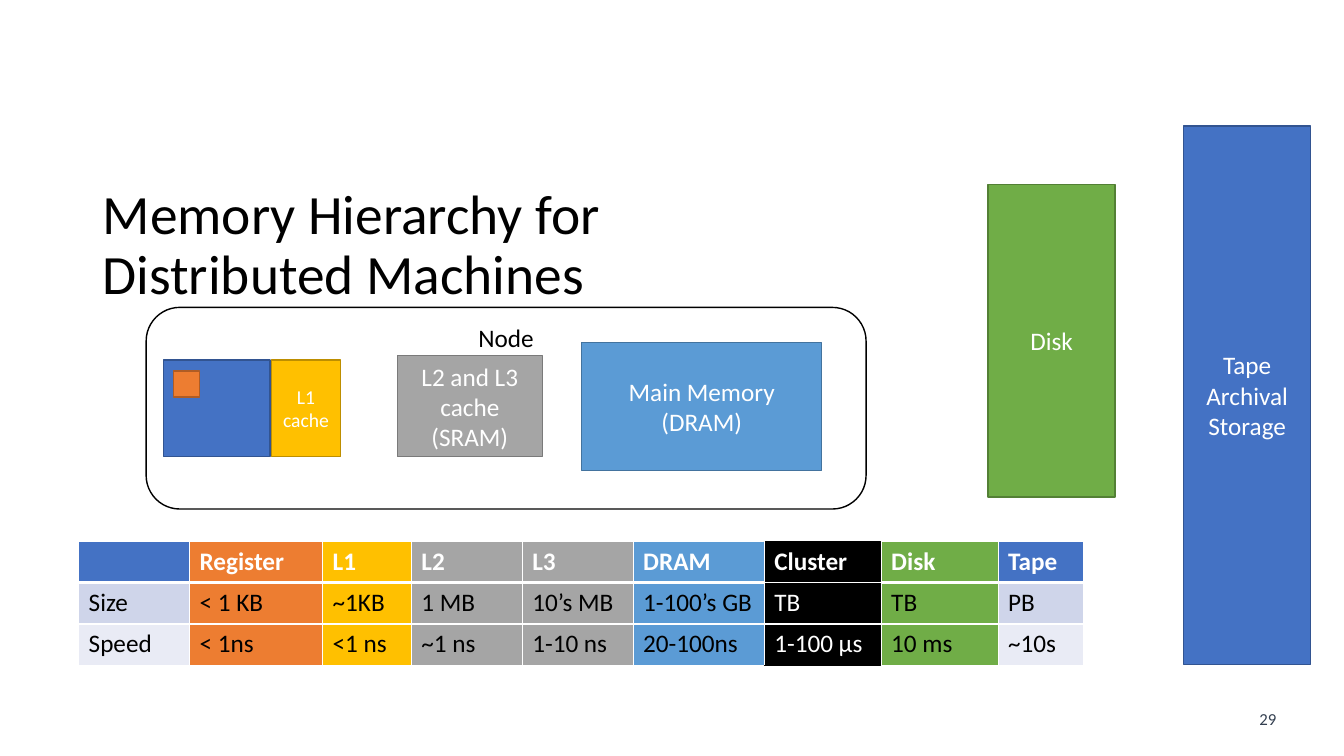
import pptx
import pptx.dml.color
import pptx.enum.shapes
import pptx.enum.text
import pptx.oxml
import pptx.oxml.ns
import pptx.util

FONT = "Calibri"
WHITE, BLACK = "FFFFFF", "000000"
BLUE, ORANGE, GOLD = "4472C4", "ED7D31", "FFC000"
GRAY, SKY, GREEN = "A5A5A5", "5B9BD5", "70AD47"
OUTLINE = {BLUE: "325491", ORANGE: "AF5C24", GOLD: "BD8E00",
           GRAY: "7A7A7A", SKY: "43739E", GREEN: "538035"}

TITLE = "Memory Hierarchy for\vDistributed Machines"
PAGE = "29"

# left, top, width, height in inches; fill; text size; paragraphs
MEMORIES = [
    (1.62, 3.57, 1.06, 0.96, BLUE, 18, []),
    (1.72, 3.68, 0.26, 0.26, ORANGE, 18, []),
    (2.69, 3.57, 0.69, 0.96, GOLD, 14, ["L1 cache"]),
    (3.94, 3.53, 1.44, 1.0, GRAY, 18, ["L2 and L3 cache", "(SRAM)"]),
    (5.77, 3.4, 2.38, 1.27, SKY, 18, ["Main Memory", "(DRAM)"]),
    (9.8, 1.83, 1.26, 3.1, GREEN, 18, ["Disk"]),
    (11.74, 1.25, 1.26, 5.34, BLUE, 18, ["Tape Archival Storage"]),
]

# width in inches, header fill, header, size, speed
LEVELS = [
    (1.1, BLUE, "", "Size", "Speed"),
    (1.32, ORANGE, "Register", "< 1 KB", "< 1ns"),
    (0.88, GOLD, "L1", "~1KB", "<1 ns"),
    (1.1, GRAY, "L2", "1 MB", "~1 ns"),
    (1.1, GRAY, "L3", "10’s MB", "1-10 ns"),
    (1.3, SKY, "DRAM", "1-100’s GB", "20-100ns"),
    (1.16, BLACK, "Cluster", "TB", "1-100 μs"),
    (1.16, GREEN, "Disk", "TB", "10 ms"),
    (0.85, BLUE, "Tape", "PB", "~10s"),
]
BANDS = [BLUE, "CFD5EA", "E9EBF5"]
ROW_HEIGHT = 0.41
TABLE_LEFT, TABLE_TOP = 0.78, 5.37


def rgb(color):
    return pptx.dml.color.RGBColor.from_string(color)


def inches(*lengths):
    return [pptx.util.Inches(v) for v in lengths]


def write(tf, paragraphs, size, color, align=None, bold=False):
    for i, text in enumerate(paragraphs):
        p = tf.add_paragraph() if i else tf.paragraphs[0]
        p.alignment = align
        for j, line in enumerate(text.split("\v")):
            if j:
                p.add_line_break()
            r = p.add_run()
            r.text = line
            r.font.name = FONT
            r.font.size = pptx.util.Pt(size)
            r.font.bold = bold
            r.font.color.rgb = rgb(color)


def add_box(s, kind, place, fill, line):
    sp = s.shapes.add_shape(kind, *inches(*place))
    sp.shadow.inherit = False
    sp.fill.solid()
    sp.fill.fore_color.rgb = rgb(fill)
    sp.line.color.rgb = rgb(line)
    sp.line.width = pptx.util.Pt(1)
    sp.text_frame.word_wrap = True
    return sp


def add_text(s, place, text, size, color, align=None):
    tf = s.shapes.add_textbox(*inches(*place)).text_frame
    tf.word_wrap = True
    write(tf, [text], size, color, align)
    return tf


def set_borders(cell, borders):
    """Draw cell edges; borders maps L, R, T, B to (colour, points)."""
    props = cell._tc.get_or_add_tcPr()
    for i, (side, (color, points)) in enumerate(borders.items()):
        props.insert(i, pptx.oxml.parse_xml(
            f'<a:ln{side} {pptx.oxml.ns.nsdecls("a")} w="{pptx.util.Pt(points)}">'
            f'<a:solidFill><a:srgbClr val="{color}"/></a:solidFill></a:ln{side}>'))


def add_levels_table(s):
    widths = [level[0] for level in LEVELS]
    rows = len(BANDS)
    table = s.shapes.add_table(rows, len(LEVELS), *inches(
        TABLE_LEFT, TABLE_TOP, sum(widths), rows * ROW_HEIGHT)).table
    for row in table.rows:
        row.height = pptx.util.Inches(ROW_HEIGHT)
    for c, (width, fill, *texts) in enumerate(LEVELS):
        table.columns[c].width = pptx.util.Inches(width)
        cluster = fill == BLACK
        edge = (BLACK if cluster else WHITE, 1)
        under_header = (WHITE, 1 if cluster else 3)
        rules = [edge, under_header, (WHITE, 1), edge]
        for r, text in enumerate(texts):
            cell = table.cell(r, c)
            cell.fill.solid()
            cell.fill.fore_color.rgb = rgb(BANDS[r] if fill == BLUE else fill)
            color = WHITE if r == 0 or cluster else BLACK
            write(cell.text_frame, [text], 18, color, bold=r == 0)
            set_borders(cell, {"L": (WHITE, 1), "R": (WHITE, 1),
                               "T": rules[r], "B": rules[r + 1]})


def main():
    prs = pptx.Presentation()
    prs.slide_width, prs.slide_height = inches(13.33, 7.5)
    s = prs.slides.add_slide(prs.slide_layouts[6])
    shapes = pptx.enum.shapes.MSO_SHAPE
    anchors = pptx.enum.text.MSO_ANCHOR
    center = pptx.enum.text.PP_ALIGN.CENTER

    add_text(s, (12.34, 6.98, 0.47, 0.3), PAGE, 12, "333F50", center)

    node = add_box(s, shapes.ROUNDED_RECTANGLE, (1.45, 3.05, 7.14, 2), WHITE, BLACK)
    node.text_frame.vertical_anchor = anchors.TOP
    write(node.text_frame, ["Node"], 18, BLACK, center)

    title = add_text(s, (0.92, 1.8, 11.5, 0.7), TITLE, 39.6, BLACK)
    title.paragraphs[0].line_spacing = 0.9

    add_levels_table(s)

    for *place, fill, size, paragraphs in MEMORIES:
        sp = add_box(s, shapes.RECTANGLE, place, fill, OUTLINE[fill])
        sp.text_frame.vertical_anchor = anchors.MIDDLE
        write(sp.text_frame, paragraphs, size, WHITE, center)

    prs.save("out.pptx")


if __name__ == "__main__":
    main()
